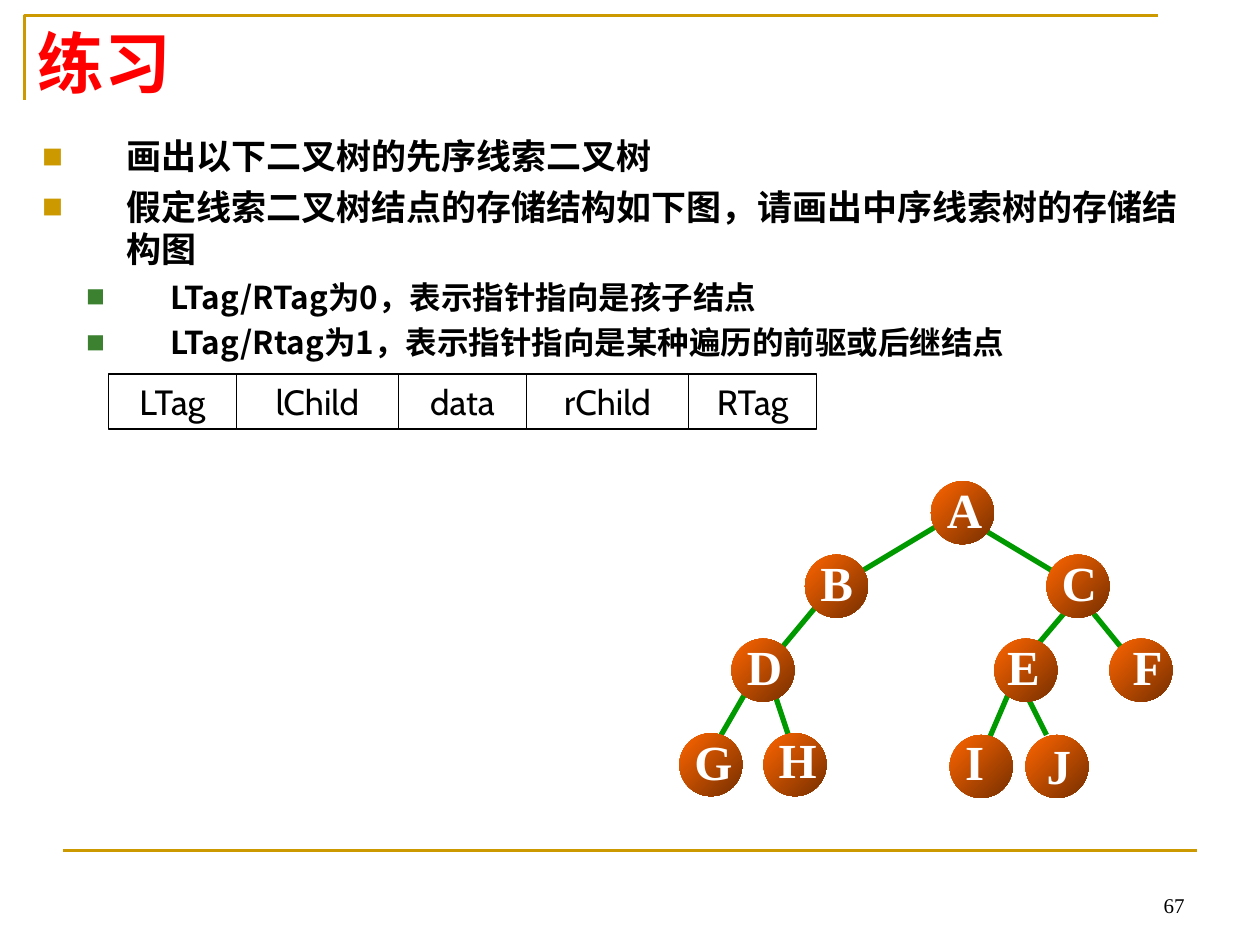
from lxml import etree
from pptx import Presentation
from pptx import util as u
from pptx.dml.color import RGBColor
from pptx.enum import shapes, text
from pptx.oxml import ns

Pt = u.Pt
COLORS = {"gold": "CC9900", "green": "3B812F", "edge": "009900", "orange": "FF6600",
          "brown": "762F00", "red": "FF0000", "black": "000000", "white": "FFFFFF"}
CJK, SERIF, SANS = "Noto Sans CJK SC", "Times New Roman", "Cabin"

TITLE = "练习"
PAGE = "67"
BULLETS = [
    (0, "画出以下二叉树的先序线索二叉树"),
    (0, "假定线索二叉树结点的存储结构如下图，请画出中序线索树的存储结构图"),
    (1, "LTag/RTag为0，表示指针指向是孩子结点"),
    (1, "LTag/Rtag为1，表示指针指向是某种遍历的前驱或后继结点"),
]
LEVELS = [
    {"size": 20, "before": 5, "margin": 48, "bullet": "gold"},
    {"size": 18, "before": 4.5, "margin": 73.5, "bullet": "green"},
]
FIELDS = [("LTag", 73), ("lChild", 92.8), ("data", 73), ("rChild", 92.8), ("RTag", 73)]
FIELD_LEFT, FIELD_TOP, FIELD_HEIGHT = 62, 213.7, 31.5

DIAMETER, LABEL_HEIGHT = 36, 41
NODES = [
    ("I", 542.7, 420, -3.7, -3, 25),
    ("A", 532, 275, 1.2, -2.2, 34.5),
    ("B", 460, 317, 0.2, -2.3, 33),
    ("C", 598, 317, 0.7, -2.3, 34.5),
    ("F", 634, 365, 3.8, -2.5, 31.5),
    ("D", 418, 365, 0.8, -2.5, 34.5),
    ("G", 388.2, 419, 1.5, -2.2, 36),
    ("H", 436.3, 419, 1.5, -3.3, 36),
    ("J", 586, 420, 1, -1, 28),
    ("E", 568.2, 365, -1.3, -2.5, 33),
]
EDGES = [
    (622, 347, 646, 376.5),
    (614, 343.5, 586, 376.5),
    (430, 389, 406, 430.5),
    (466, 347, 436, 383),
    (556, 299, 613.5, 333.5),
    (538, 299, 478, 335),
    (442, 394.5, 453, 427.5),
    (579, 390, 561, 432),
    (586, 396, 598, 420),
]


def rgb(name):
    return RGBColor.from_string(COLORS[name])


def apply(target, formats):
    for name, value in formats.items():
        setattr(target, name, value)


def write(p, words, size, font, color, bold=False):
    r = p.add_run()
    r.text = words
    apply(r.font, {"size": Pt(size), "name": font, "bold": bold})
    r.font.color.rgb = rgb(color)
    ea = etree.SubElement(r.font._element, ns.qn("a:ea"))
    ea.set("typeface", CJK)


def place(sp, left, top, width, height):
    apply(sp, {"left": Pt(left), "top": Pt(top), "width": Pt(width), "height": Pt(height)})


def add_line(s, x1, y1, x2, y2, color, width):
    line = s.shapes.add_connector(shapes.MSO_CONNECTOR.STRAIGHT, Pt(x1), Pt(y1), Pt(x2), Pt(y2))
    line.line.color.rgb = rgb(color)
    line.line.width = Pt(width)
    etree.SubElement(line._element.spPr, ns.qn("a:effectLst"))


def add_label(s, words, left, top, width, height, size, color, bold, align, anchor, wrap):
    tf = s.shapes.add_textbox(Pt(left), Pt(top), Pt(width), Pt(height)).text_frame
    apply(tf, {"word_wrap": wrap, "vertical_anchor": anchor})
    p = tf.paragraphs[0]
    p.alignment = align
    write(p, words, size, SERIF, color, bold)


def add_bullet(p, color):
    pPr = p._p.get_or_add_pPr()
    clr = etree.SubElement(pPr, ns.qn("a:buClr"))
    etree.SubElement(clr, ns.qn("a:srgbClr")).set("val", COLORS[color])
    for tag, key, value in [("buSzPct", "val", "60000"), ("buFont", "typeface", CJK),
                            ("buChar", "char", "■")]:
        etree.SubElement(pPr, ns.qn("a:" + tag)).set(key, value)


def add_frame(s):
    corner = s.shapes.build_freeform(14.4, 57, scale=12700)
    corner.add_line_segments([(14.4, 9.4), (662.4, 9.4)], close=False)
    sp = corner.convert_to_shape()
    sp.shadow.inherit = False
    sp.fill.background()
    sp.line.color.rgb = rgb("gold")
    sp.line.width = Pt(1.5)
    add_line(s, 36, 486, 684, 486, "gold", 1.5)
    add_label(s, PAGE, 516, 491.7, 168, 36, 12, "black", False,
              text.PP_ALIGN.RIGHT, text.MSO_ANCHOR.BOTTOM, True)


def fill_title(sp):
    place(sp, 14.4, 9.6, 648, 51)
    tf = sp.text_frame
    apply(tf, {"vertical_anchor": text.MSO_ANCHOR.MIDDLE, "auto_size": text.MSO_AUTO_SIZE.NONE})
    p = tf.paragraphs[0]
    p.alignment = text.PP_ALIGN.LEFT
    write(p, TITLE, 38, SERIF, "red", True)


def fill_body(sp):
    place(sp, 16.8, 73.5, 672.5, 314.5)
    tf = sp.text_frame
    apply(tf, {"vertical_anchor": text.MSO_ANCHOR.TOP, "auto_size": text.MSO_AUTO_SIZE.NONE})
    for i, (level, words) in enumerate(BULLETS):
        style = LEVELS[level]
        p = tf.add_paragraph() if i else tf.paragraphs[0]
        apply(p, {"level": level, "line_spacing": 1.0, "space_after": Pt(0),
                  "space_before": Pt(style["before"] if i else 0)})
        pPr = p._p.get_or_add_pPr()
        pPr.set("marL", str(Pt(style["margin"])))
        pPr.set("indent", str(Pt(-48)))
        add_bullet(p, style["bullet"])
        write(p, words, style["size"], CJK, "black", True)


def add_fields(s):
    left = FIELD_LEFT
    for name, width in FIELDS:
        sp = s.shapes.add_shape(shapes.MSO_SHAPE.RECTANGLE, Pt(left), Pt(FIELD_TOP),
                                Pt(width), Pt(FIELD_HEIGHT))
        sp.shadow.inherit = False
        sp.fill.background()
        sp.line.color.rgb = rgb("black")
        sp.line.width = Pt(0.75)
        tf = sp.text_frame
        tf.vertical_anchor = text.MSO_ANCHOR.MIDDLE
        write(tf.paragraphs[0], name, 20, SANS, "black")
        left += width


def add_tree(s):
    for edge in EDGES:
        add_line(s, *edge, "edge", 3)
    for name, left, top, dx, dy, width in NODES:
        sp = s.shapes.add_shape(shapes.MSO_SHAPE.OVAL, Pt(left), Pt(top),
                                Pt(DIAMETER), Pt(DIAMETER))
        sp.shadow.inherit = False
        sp.line.fill.background()
        sp.fill.gradient()
        sp.fill.gradient_angle = 315
        for stop, color, position in zip(sp.fill.gradient_stops, ("orange", "brown"), (0, 1)):
            stop.color.rgb = rgb(color)
            stop.position = position
        add_label(s, name, left + (DIAMETER - width) / 2 + dx,
                  top + (DIAMETER - LABEL_HEIGHT) / 2 + dy, width, LABEL_HEIGHT,
                  28, "white", True, text.PP_ALIGN.CENTER, text.MSO_ANCHOR.MIDDLE, False)


def main():
    prs = Presentation()
    apply(prs, {"slide_width": Pt(720), "slide_height": Pt(540)})
    s = prs.slides.add_slide(prs.slide_layouts[1])
    add_frame(s)
    fill_title(s.shapes.title)
    fill_body(s.placeholders[1])
    add_tree(s)
    add_fields(s)
    prs.save("out.pptx")


if __name__ == "__main__":
    main()
